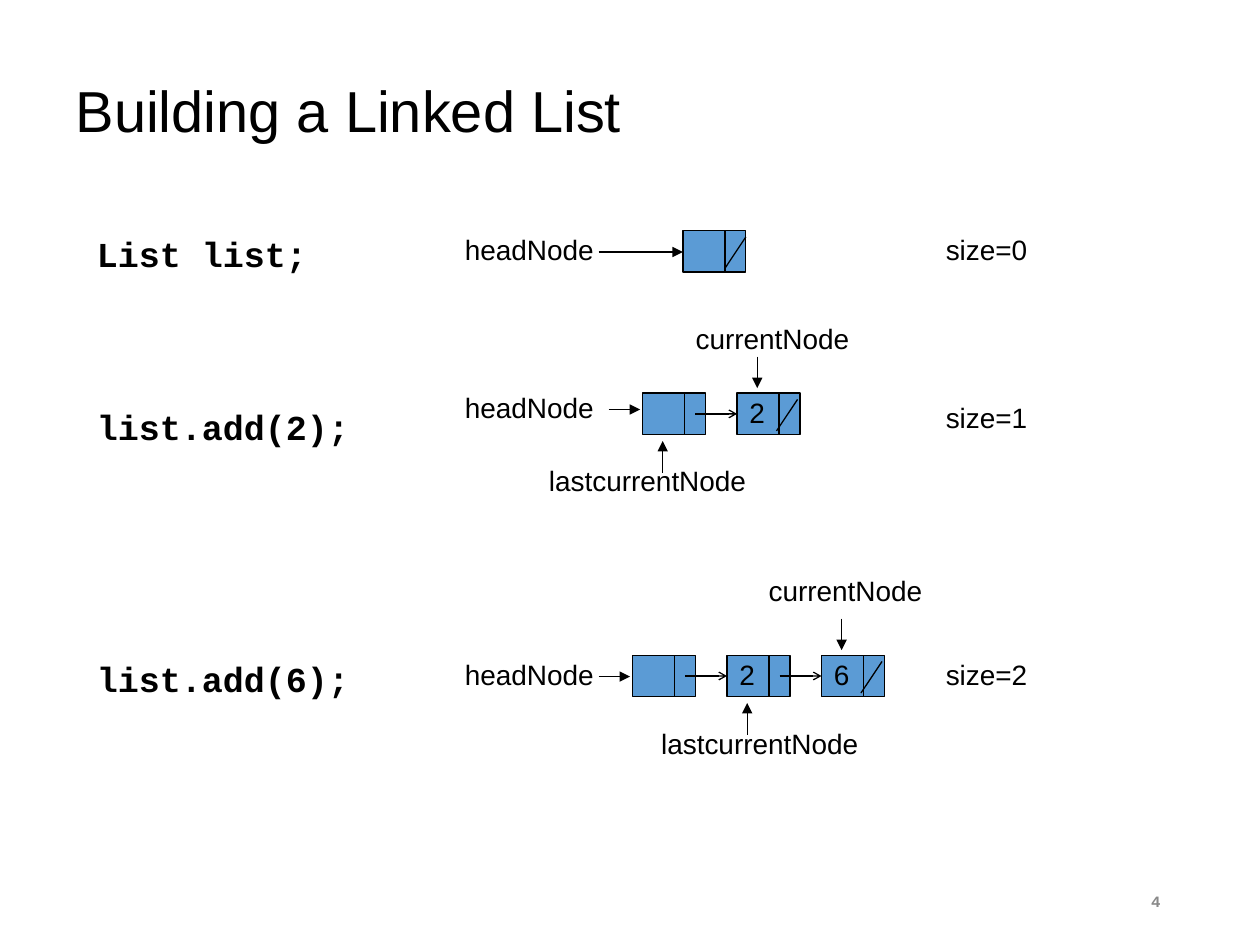
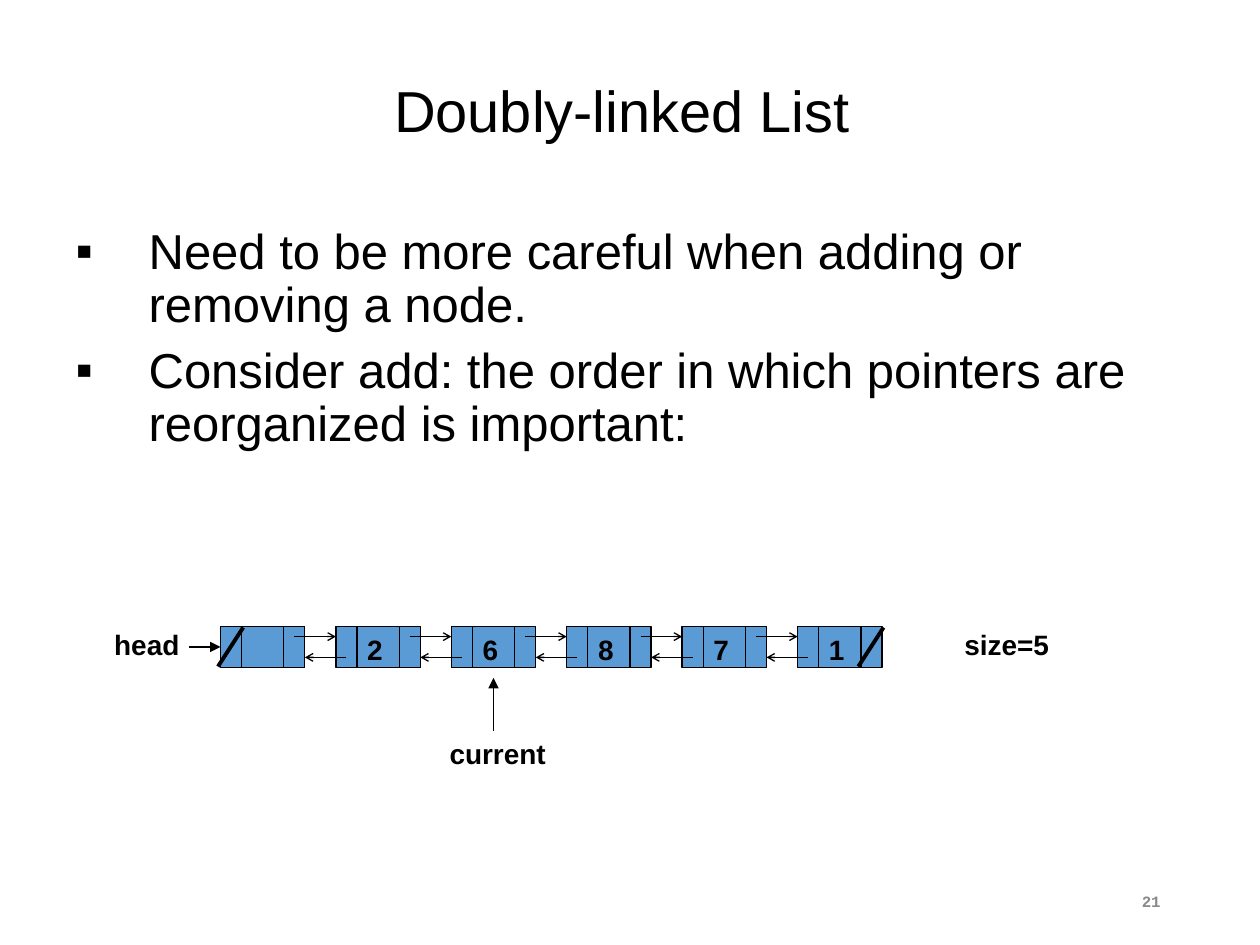
from pptx import Presentation
from pptx import util as u
from pptx.dml import color
from pptx.enum import shapes, text
from pptx.oxml import ns
from lxml import etree

BLACK, BLUE, GREY = "000000", "5B9BD5", "898989"
SANS, MONO = "Arial", "Courier New"
LEFT, CENTER, RIGHT = text.PP_ALIGN.LEFT, text.PP_ALIGN.CENTER, text.PP_ALIGN.RIGHT
LABEL_WIDTHS = {"headNode": 1.22, "currentNode": 1.42, "lastcurrentNode": 1.76,
                "head": 0.71, "current": 0.96}
SIZE_WIDTH = 0.86
LABEL_HEIGHT = 0.37
NODE_HEIGHT = 0.33
TIP_SIZES = {"triangle": "med", "arrow": "sm"}

SINGLE = {
    "title": "Building a Linked List",
    "number": "4",
    "node_width": 0.5,
    "pitch": 0.75,
    "rows": [
        {"code": "List list;", "code_top": 1.8, "left": 5.42, "top": 1.83,
         "values": [""], "slash_shift": 0, "head_arrow": (4.75, 5.42, 2),
         "labels": [("headNode", 3.59, 1.8), ("size=0", 7.4, 1.8)],
         "current": None, "last": None},
        {"code": "list.add(2);", "code_top": 3.17, "left": 5.1, "top": 3.12,
         "values": ["", "2"], "slash_shift": -0.02, "head_arrow": (4.83, 5.08, 3.25),
         "labels": [("headNode", 3.59, 3.05), ("size=1", 7.4, 3.13),
                    ("currentNode", 5.42, 2.5), ("lastcurrentNode", 4.26, 3.63)],
         "current": 1, "last": 0},
        {"code": "list.add(6);", "code_top": 5.17, "left": 5.02, "top": 5.2,
         "values": ["", "2", "6"], "slash_shift": -0.02, "head_arrow": (4.75, 5, 5.37),
         "labels": [("headNode", 3.59, 5.17), ("size=2", 7.4, 5.17),
                    ("currentNode", 6, 4.5), ("lastcurrentNode", 5.15, 5.72)],
         "current": 2, "last": 1},
    ],
}

DOUBLE = {
    "title": "Doubly-linked List ",
    "number": "21",
    "bullets": [
        "Need to be more careful when adding or removing a node.",
        "Consider add: the order in which pointers are reorganized is important:",
    ],
    "values": ["", "2", "6", "8", "7", "1"],
    "first_left": 1.75,
    "last_left": 6.33,
    "top": 4.97,
    "node_width": 0.67,
    "labels": [("size=5", 7.56, 4.93), ("head", 0.81, 4.93), ("current", 3.47, 5.8)],
    "current": 2,
}


def rgb(value):
    return color.RGBColor.from_string(value)


def place(shape, left, top, width, height):
    shape.left, shape.top = u.Inches(left), u.Inches(top)
    shape.width, shape.height = u.Inches(width), u.Inches(height)


def style(para, size, font=SANS, bold=False, tint=BLACK, align=LEFT):
    para.alignment = align
    for span in para.runs:
        span.font.name = font
        span.font.size = u.Pt(size)
        span.font.bold = bold
        span.font.color.rgb = rgb(tint)


def write(page, words, left, top, width, height=LABEL_HEIGHT, margin=0.1,
          anchor=text.MSO_ANCHOR.TOP, size=16, **look):
    box = page.shapes.add_textbox(*map(u.Inches, (left, top, width, height)))
    frame = box.text_frame
    frame.word_wrap = True
    frame.margin_left = frame.margin_right = u.Inches(margin)
    frame.vertical_anchor = anchor
    frame.text = words
    style(frame.paragraphs[0], size, **look)


def write_labels(page, labels, bold=False):
    for words, left, top in labels:
        write(page, words, left, top, LABEL_WIDTHS.get(words, SIZE_WIDTH),
              margin=0, bold=bold, align=CENTER)


def draw_line(page, start, end, tip=None, weight=0.75):
    line = page.shapes.add_connector(shapes.MSO_CONNECTOR.STRAIGHT,
                                     *map(u.Inches, (*start, *end)))
    line.line.color.rgb = rgb(BLACK)
    line.line.width = u.Pt(weight)
    properties = line._element.spPr
    if tip:
        etree.SubElement(properties.find(ns.qn("a:ln")), ns.qn("a:tailEnd"),
                         type=tip, w=TIP_SIZES[tip], len=TIP_SIZES[tip])
    etree.SubElement(properties, ns.qn("a:effectLst"))


def draw_node(page, left, top, width, dividers):
    node = page.shapes.add_shape(shapes.MSO_SHAPE.RECTANGLE,
                                 *map(u.Inches, (left, top, width, NODE_HEIGHT)))
    node.shadow.inherit = False
    node.fill.solid()
    node.fill.fore_color.rgb = rgb(BLUE)
    node.line.color.rgb = rgb(BLACK)
    node.line.width = u.Pt(0.75)
    for share in dividers:
        x = left + width * share
        draw_line(page, (x, top), (x, top + NODE_HEIGHT))


def add_page(deck, layout, content, align):
    page = deck.slides.add_slide(deck.slide_layouts[layout])
    title = page.shapes.title
    place(title, 0.5, 0.4, 9, 1)
    frame = title.text_frame
    frame.text = content["title"]
    frame.vertical_anchor = text.MSO_ANCHOR.MIDDLE
    frame.auto_size = text.MSO_AUTO_SIZE.NONE
    frame.paragraphs[0].line_spacing = 0.9
    style(frame.paragraphs[0], 33, align=align)
    write(page, content["number"], 7.06, 6.95, 2.25, 0.4, size=9, font=MONO,
          bold=True, tint=GREY, align=RIGHT, anchor=text.MSO_ANCHOR.MIDDLE)
    return page


def draw_row(page, row, width, pitch):
    top, middle = row["top"], row["top"] + NODE_HEIGHT / 2
    lefts = [row["left"] + pitch * i for i in range(len(row["values"]))]
    for left, value in zip(lefts, row["values"]):
        draw_node(page, left, top, width, [2 / 3])
        if value:
            write(page, value, left, top - 0.03, 0.4)
    for left, following in zip(lefts, lefts[1:]):
        draw_line(page, (left + width * 5 / 6, middle), (following, middle), "arrow")
    right = lefts[-1] + width + row["slash_shift"]
    draw_line(page, (right, top + 0.05), (right - width / 3, top + 0.3))

    start, end, y = row["head_arrow"]
    draw_line(page, (start, y), (end, y), "triangle")
    for name, far, near in (("current", -0.29, -0.04), ("last", 0.63, 0.38)):
        if row[name] is not None:
            x = lefts[row[name]] + width * 0.32
            draw_line(page, (x, top + far), (x, top + near), "triangle")
    write_labels(page, row["labels"])
    write(page, row["code"], 0.67, row["code_top"], 2.56, 0.44,
          size=20, font=MONO, bold=True)


def build_single(deck):
    page = add_page(deck, 5, SINGLE, LEFT)
    for row in SINGLE["rows"]:
        draw_row(page, row, SINGLE["node_width"], SINGLE["pitch"])


def fill_bullets(body, bullets):
    place(body, 0.5, 1.75, 9, 2.67)
    frame = body.text_frame
    frame.text = "\n".join(bullets)
    frame.auto_size = text.MSO_AUTO_SIZE.NONE
    for i, para in enumerate(frame.paragraphs):
        properties = para._p.get_or_add_pPr()
        properties.set("marL", str(u.Inches(0.58)))
        properties.set("indent", str(-u.Inches(0.58)))
        tint = etree.SubElement(properties, ns.qn("a:buClr"))
        etree.SubElement(tint, ns.qn("a:srgbClr"), val=BLACK)
        etree.SubElement(properties, ns.qn("a:buFont"), typeface=SANS)
        etree.SubElement(properties, ns.qn("a:buChar"), char="▪")
        para.line_spacing = 0.9
        para.space_before = u.Pt(7.5 if i else 0)
        style(para, 28)


def build_double(deck):
    page = add_page(deck, 1, DOUBLE, CENTER)
    fill_bullets(page.placeholders[1], DOUBLE["bullets"])
    values, top, width = DOUBLE["values"], DOUBLE["top"], DOUBLE["node_width"]
    first, last = DOUBLE["first_left"], DOUBLE["last_left"]
    pitch = (last - first) / (len(values) - 1)
    lefts = [first + pitch * i for i in range(len(values))]
    for left in lefts:
        draw_node(page, left, top, width, [1 / 4, 3 / 4])
    for left, following in zip(lefts, lefts[1:]):
        ahead, back = top + NODE_HEIGHT / 4, top + NODE_HEIGHT * 3 / 4
        draw_line(page, (left + width * 7 / 8, ahead), (following, ahead), "arrow")
        draw_line(page, (following + width / 8, back), (left + width, back), "arrow")
    for left, value in zip(lefts, values):
        if value:
            write(page, value, left + 0.15, top, 0.36, bold=True)
    for x in (first - 0.02, last + width * 3 / 4 - 0.02):
        draw_line(page, (x + 0.2, top + 0.01), (x, top + 0.32), weight=2.25)

    write_labels(page, DOUBLE["labels"], bold=True)
    middle = top + NODE_HEIGHT / 2
    draw_line(page, (first - 0.25, middle), (first, middle), "triangle")
    x = lefts[DOUBLE["current"]] + width / 2
    draw_line(page, (x, top + 0.83), (x, top + 0.41), "triangle")


def main():
    deck = Presentation()
    deck.slide_width, deck.slide_height = u.Inches(10), u.Inches(7.5)
    build_single(deck)
    build_double(deck)
    deck.save("out.pptx")


if __name__ == "__main__":
    main()
